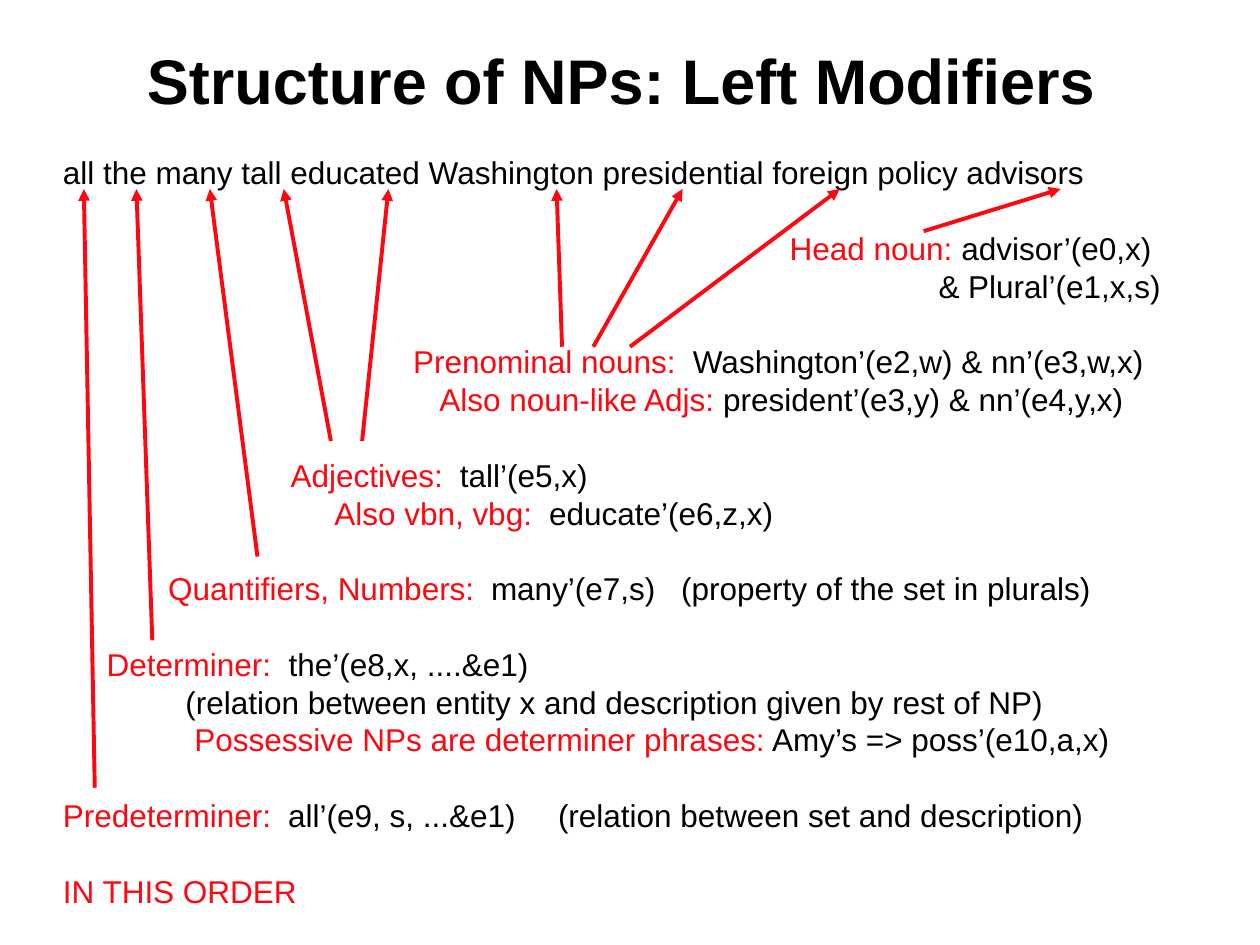
from dataclasses import dataclass

from lxml.etree import SubElement
from pptx import Presentation
from pptx.dml.color import RGBColor
from pptx.enum.shapes import MSO_CONNECTOR
from pptx.enum.text import MSO_ANCHOR, PP_ALIGN
from pptx.oxml.ns import qn
from pptx.slide import Slide
from pptx.text.text import TextFrame
from pptx.util import Cm, Pt

COLORS = {"text": "000000", "accent": "FF0710"}
TITLE_FONT = {"name": "Arial", "size": Pt(36), "bold": True}
BODY_FONT = {"name": "Arial", "size": Pt(18), "bold": False}
LINE_HEIGHT = Pt(21.6)
WORD_ROW = 3.81


@dataclass(frozen=True)
class Line:
    label: str = ""
    text: str = ""
    stops: tuple[float, ...] = ()
    starts_group: bool = False


@dataclass(frozen=True)
class Arrow:
    start_x: float
    start_y: float
    word_x: float


LINES = [
    Line(text="all the many tall educated Washington presidential foreign policy advisors"),
    Line("\tHead noun:", " advisor’(e0,x)", (14.65,), True),
    Line(text="\t& Plural’(e1,x,s)", stops=(17.65,)),
    Line("\tPrenominal nouns:", "\tWashington’(e2,w) & nn’(e3,w,x)", (7.06, 12.7), True),
    Line("\tAlso noun-like Adjs:", " president’(e3,y) & nn’(e4,y,x)", (7.59,)),
    Line("\tAdjectives:", "\ttall’(e5,x)", (4.59, 8.0), True),
    Line("\tAlso vbn, vbg:", "\teducate’(e6,z,x)", (5.47, 9.8)),
    Line("\tQuantifiers, Numbers:", "\tmany’(e7,s)\t(property of the set in plurals)",
         (2.12, 8.63, 12.46), True),
    Line("\tDeterminer:", "\tthe’(e8,x, ....&e1)", (0.88, 4.55), True),
    Line(text="\t(relation between entity x and description given by rest of NP)", stops=(2.47,)),
    Line("\tPossessive NPs are determiner phrases:", " Amy’s => poss’(e10,a,x)", (2.65,)),
    Line("Predeterminer:", "\tall’(e9, s, ...&e1)\t(relation between set and description)",
         (4.54, 9.98), True),
    Line("IN THIS ORDER", starts_group=True),
]

ARROWS = [
    Arrow(18.62, 4.66, 21.38),
    Arrow(11.33, 6.99, 11.22),
    Arrow(11.96, 6.99, 13.76),
    Arrow(12.7, 6.99, 16.93),
    Arrow(6.67, 8.89, 5.72),
    Arrow(7.3, 8.89, 7.83),
    Arrow(5.19, 11.22, 4.23),
    Arrow(3.07, 12.91, 2.75),
    Arrow(1.91, 15.88, 1.69),
]


def set_values(target: object, values: dict) -> None:
    for name, value in values.items():
        setattr(target, name, value)


def add_run(paragraph, text: str, font_values: dict, color: str) -> None:
    run = paragraph.add_run()
    run.text = text
    set_values(run.font, font_values)
    run.font.color.rgb = RGBColor.from_string(COLORS[color])


def add_text_box(slide: Slide, left: float, top: float, width: float, height: float) -> TextFrame:
    shape = slide.shapes.add_textbox(Cm(left), Cm(top), Cm(width), Cm(height))
    shape.text_frame.word_wrap = True
    return shape.text_frame


def add_title(slide: Slide) -> None:
    frame = add_text_box(slide, 1.9, 0, 21.6, 3.18)
    frame.vertical_anchor = MSO_ANCHOR.MIDDLE
    paragraph = frame.paragraphs[0]
    paragraph.alignment = PP_ALIGN.CENTER
    add_run(paragraph, "Structure of NPs: Left Modifiers ", TITLE_FONT, "text")


def add_lines(slide: Slide, lines: list[Line]) -> None:
    frame = add_text_box(slide, 1.02, 2.97, 22.9, 15.49)
    for index, line in enumerate(lines):
        paragraph = frame.add_paragraph() if index else frame.paragraphs[0]
        if line.stops:
            tab_list = SubElement(paragraph._p.get_or_add_pPr(), qn("a:tabLst"))
            for stop in line.stops:
                SubElement(tab_list, qn("a:tab"), pos=str(int(Cm(stop))), algn="l")
        set_values(paragraph, {
            "alignment": PP_ALIGN.LEFT,
            "line_spacing": LINE_HEIGHT,
            "space_before": LINE_HEIGHT if line.starts_group else Pt(0),
        })
        for text, color in ((line.label, "accent"), (line.text, "text")):
            if text:
                add_run(paragraph, text, BODY_FONT, color)


def add_arrow(slide: Slide, arrow: Arrow) -> None:
    connector = slide.shapes.add_connector(
        MSO_CONNECTOR.STRAIGHT,
        Cm(arrow.start_x), Cm(arrow.start_y), Cm(arrow.word_x), Cm(WORD_ROW),
    )
    connector.line.width = Pt(2.25)
    connector.line.color.rgb = RGBColor.from_string(COLORS["accent"])
    SubElement(connector.line._get_or_add_ln(), qn("a:tailEnd"), type="triangle")
    SubElement(connector._element.spPr, qn("a:effectLst"))


def main() -> None:
    presentation = Presentation()
    set_values(presentation, {"slide_width": Cm(25.4), "slide_height": Cm(19.05)})
    slide = presentation.slides.add_slide(presentation.slide_layouts[6])
    add_title(slide)
    add_lines(slide, LINES)
    for arrow in ARROWS:
        add_arrow(slide, arrow)
    presentation.save("out.pptx")


if __name__ == "__main__":
    main()
